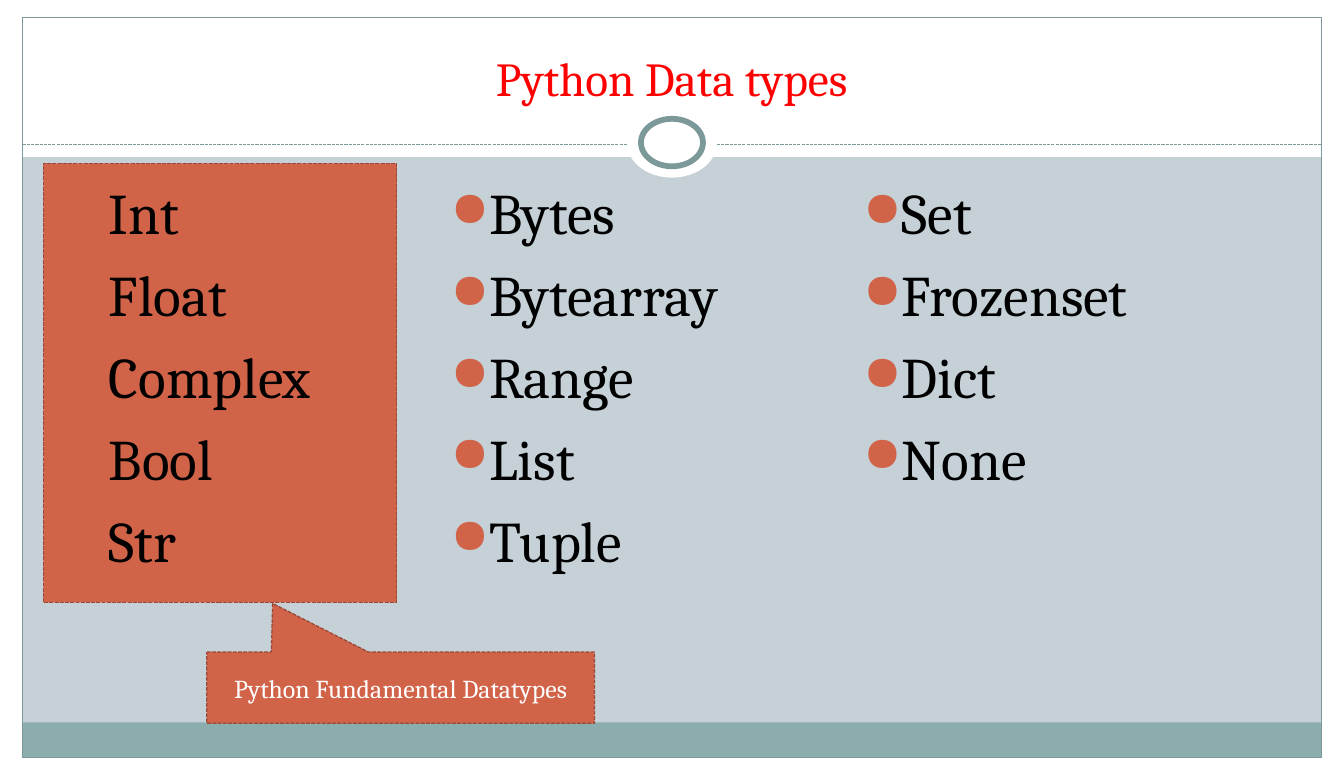
"""Build the slide listing Python's data types in three columns."""
from lxml.etree import SubElement
from pptx import Presentation
from pptx.dml.color import RGBColor
from pptx.enum.dml import MSO_LINE
from pptx.enum.shapes import MSO_CONNECTOR, MSO_SHAPE
from pptx.enum.text import MSO_ANCHOR, PP_ALIGN
from pptx.oxml.ns import qn
from pptx.util import Pt

FONT = "Cambria"
COLORS = {
    "background": "C5D1D7", "white": "FFFFFF", "band": "8CADAE",
    "frame": "7C999A", "accent": "D16349", "accent_edge": "9B4936",
    "title": "FF0000", "text": "000000",
}
WIDTH, HEIGHT = 936, 540
MARGIN, BOTTOM_MARGIN, HEADER = 15.8, 12.2, 109.4
BAND_HEIGHT, RULE_TOP = 24.5, 100.8
INNER_WIDTH = WIDTH - 2 * MARGIN
FRAME_BOTTOM = HEIGHT - BOTTOM_MARGIN

TITLE = "Python Data types"
CALLOUT = "Python Fundamental Datatypes"
COLUMNS = [
    (41.8, 228.2, ["Int", "Float", "Complex", "Bool", "Str"]),
    (306.7, 377.3, ["Bytes", "Bytearray", "Range", "List", "Tuple"]),
    (594, 377.3, ["Set", "Frozenset", "Dict", "None"]),
]
COLUMN_TOP, COLUMN_HEIGHT = 120.2, 360
BACKDROP = [
    (0, FRAME_BOTTOM, WIDTH, BOTTOM_MARGIN, "white"),
    (0, 0, WIDTH, HEADER, "white"),
    (0, 0, MARGIN, HEIGHT, "white"),
    (WIDTH - MARGIN, 0, MARGIN, HEIGHT, "white"),
    (MARGIN, FRAME_BOTTOM - BAND_HEIGHT, INNER_WIDTH, BAND_HEIGHT, "band"),
]


def color(name):
    return RGBColor.from_string(COLORS[name])


def style_line(line, name, width, dashed=False):
    line.color.rgb = color(name)
    line.width = Pt(width)
    if dashed:
        line.dash_style = MSO_LINE.SQUARE_DOT


def add_panel(slide, kind, box, fill=None, edge=None, width=0.75, dashed=False):
    panel = slide.shapes.add_shape(kind, *map(Pt, box))
    panel.shadow.inherit = False
    if fill:
        panel.fill.solid()
        panel.fill.fore_color.rgb = color(fill)
    else:
        panel.fill.background()
    if edge:
        style_line(panel.line, edge, width, dashed)
    else:
        panel.line.fill.background()
    return panel


def style_text(paragraph, size, name, align=PP_ALIGN.LEFT):
    paragraph.alignment = align
    for run in paragraph.runs:
        run.font.name = FONT
        run.font.size = Pt(size)
        run.font.color.rgb = color(name)


def add_bullet(paragraph):
    properties = paragraph._p.get_or_add_pPr()
    properties.set("marL", str(Pt(21.6)))
    properties.set("indent", str(-Pt(21.6)))
    tint = SubElement(properties, qn("a:buClr"))
    SubElement(tint, qn("a:srgbClr"), val=COLORS["accent"])
    SubElement(properties, qn("a:buSzPct"), val="85000")
    SubElement(properties, qn("a:buChar"), char="●")


def add_backdrop(slide):
    for *box, fill in BACKDROP:
        add_panel(slide, MSO_SHAPE.RECTANGLE, box, fill)
    frame = (MARGIN, BOTTOM_MARGIN, INNER_WIDTH, FRAME_BOTTOM - BOTTOM_MARGIN)
    add_panel(slide, MSO_SHAPE.RECTANGLE, frame, edge="frame")
    ends = (MARGIN, RULE_TOP, WIDTH - MARGIN, RULE_TOP)
    rule = slide.shapes.add_connector(MSO_CONNECTOR.STRAIGHT, *map(Pt, ends))
    style_line(rule.line, "frame", 0.75, True)
    SubElement(rule._element.spPr, qn("a:effectLst"))
    for top, width, height, edge in [(75.6, 62.6, 48.2, None), (82.8, 43.2, 33.1, "frame")]:
        ring = ((WIDTH - width) / 2, top, width, height)
        add_panel(slide, MSO_SHAPE.OVAL, ring, "white", edge, 4)


def add_title(slide):
    title = slide.shapes.title
    slide.shapes._spTree.append(title._element)
    title.left, title.top, title.width, title.height = map(Pt, (31, 18, 873.4, 59.8))
    title.text_frame.text = TITLE
    title.text_frame.vertical_anchor = MSO_ANCHOR.BOTTOM
    style_text(title.text_frame.paragraphs[0], 33, "title", PP_ALIGN.CENTER)


def add_column(slide, left, width, names):
    box = map(Pt, (left, COLUMN_TOP, width, COLUMN_HEIGHT))
    column = slide.shapes.add_textbox(*box).text_frame
    column.word_wrap = True
    column.text = "\n".join(names)
    for paragraph in column.paragraphs:
        paragraph.space_before = Pt(9)
        style_text(paragraph, 40, "text")
        add_bullet(paragraph)


def add_callout(slide):
    callout = add_panel(slide, MSO_SHAPE.RECTANGULAR_CALLOUT, (144, 454.3, 270, 49.7),
                        "accent", "accent_edge", 0.9, True)
    callout.adjustments[0], callout.adjustments[1] = -0.33, -1.18
    callout.text_frame.text = CALLOUT
    callout.text_frame.vertical_anchor = MSO_ANCHOR.MIDDLE
    style_text(callout.text_frame.paragraphs[0], 18, "white", PP_ALIGN.CENTER)


def main():
    deck = Presentation()
    deck.slide_width, deck.slide_height = Pt(WIDTH), Pt(HEIGHT)
    slide = deck.slides.add_slide(deck.slide_layouts[5])
    slide.background.fill.solid()
    slide.background.fill.fore_color.rgb = color("background")
    add_backdrop(slide)
    add_panel(slide, MSO_SHAPE.RECTANGLE, (30.2, 113.8, 246.2, 306),
              "accent", "accent_edge", 0.9, True)
    add_title(slide)
    for left, width, names in COLUMNS:
        add_column(slide, left, width, names)
    add_callout(slide)
    deck.save("out.pptx")


if __name__ == "__main__":
    main()
